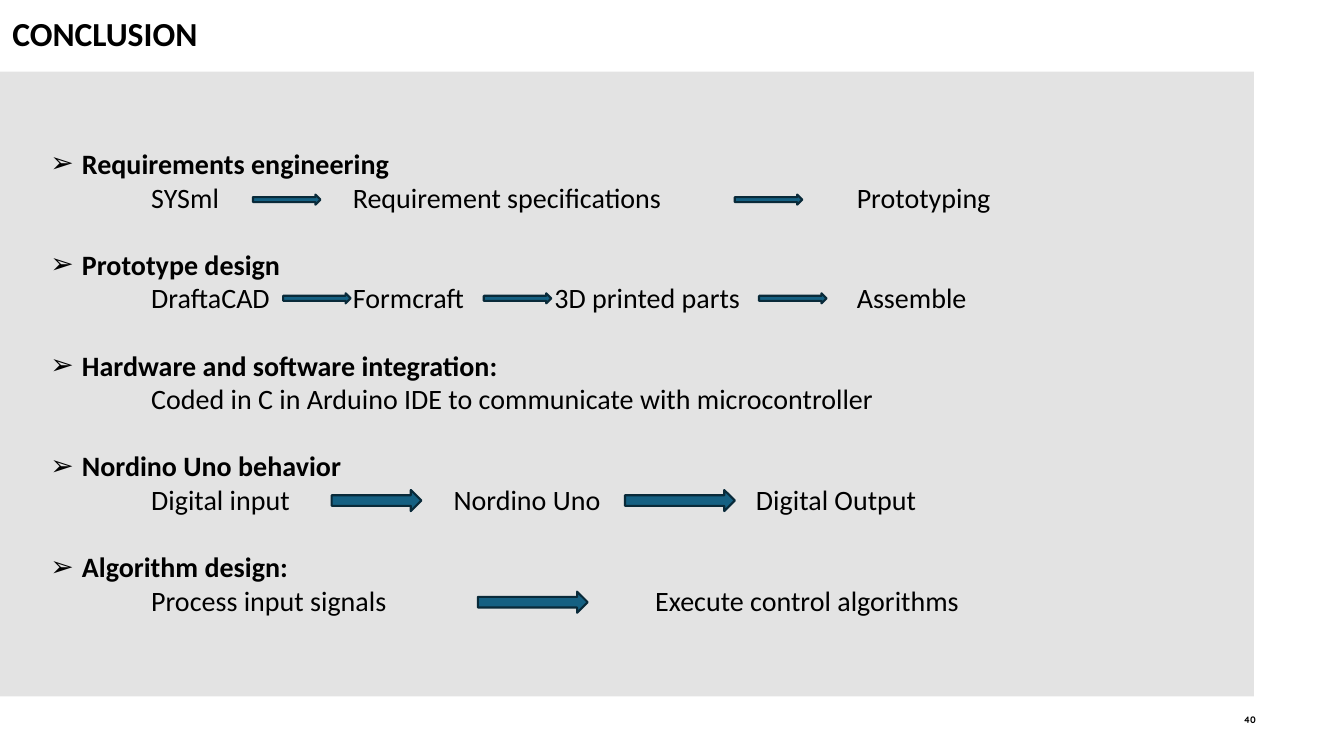
"""Build the conclusion slide, with its list of steps and flow arrows."""
import dataclasses

import lxml.etree
import pptx
import pptx.dml.color
import pptx.enum.shapes
import pptx.enum.text
import pptx.oxml.ns
import pptx.util

Pt = pptx.util.Pt
MSO = pptx.enum.shapes.MSO_SHAPE
TEXT = pptx.enum.text


@dataclasses.dataclass(frozen=True)
class Theme:
    ink: str = "000000"
    panel: str = "E3E3E3"
    arrow: str = "156082"
    edge: str = "092A39"
    font: str = "Calibri"
    small_font: str = "Quicksand"
    title: float = 24
    body: float = 20
    small: float = 6.7
    line: float = 24
    gap: float = 24
    indent: float = 22.5
    tab: float = 72


class Deck:
    def __init__(self, theme, width, height):
        self.theme = theme
        self.file = pptx.Presentation()
        self.file.slide_width = Pt(width)
        self.file.slide_height = Pt(height)
        self.slide = self.file.slides.add_slide(self.file.slide_layouts[1])

    def color(self, code):
        return pptx.dml.color.RGBColor.from_string(code)

    def place(self, shape, box):
        shape.left, shape.top, shape.width, shape.height = map(Pt, box)

    def frame(self, shape, top=0):
        frame = shape.text_frame
        frame.word_wrap = True
        frame.auto_size = TEXT.MSO_AUTO_SIZE.NONE
        frame.vertical_anchor = TEXT.MSO_ANCHOR.TOP
        frame.margin_left = frame.margin_right = frame.margin_bottom = 0
        frame.margin_top = Pt(top)
        return frame

    def run(self, para, text, size, bold=True, font=None):
        run = para.add_run()
        run.text = text
        run.font.size = Pt(size)
        run.font.bold = bold
        run.font.name = font or self.theme.font
        run.font.color.rgb = self.color(self.theme.ink)

    def shape(self, kind, box, fill, edge=None):
        shape = self.slide.shapes.add_shape(kind, *map(Pt, box))
        shape.shadow.inherit = False
        shape.fill.solid()
        shape.fill.fore_color.rgb = self.color(fill)
        if edge:
            shape.line.color.rgb = self.color(edge)
            shape.line.width = Pt(1.5)
        else:
            shape.line.fill.background()
        return shape

    def panel(self, box):
        item = self.shape(MSO.RECTANGLE, box, self.theme.panel).element
        item.getparent().insert(2, item)

    def arrow(self, box):
        self.shape(MSO.RIGHT_ARROW, box, self.theme.arrow, self.theme.edge)

    def title(self, text, box):
        shape = self.slide.shapes.title
        self.place(shape, box)
        para = self.frame(shape).paragraphs[0]
        para.alignment = TEXT.PP_ALIGN.LEFT
        self.run(para, text, self.theme.title)

    def number(self, text, box):
        para = self.frame(self.slide.shapes.add_textbox(*map(Pt, box))).paragraphs[0]
        self.run(para, text, self.theme.small, font=self.theme.small_font)

    def line(self, para, bullet=None, before=0):
        indent = Pt(self.theme.indent) if bullet else 0
        props = para._p.get_or_add_pPr()
        props.set("marL", str(indent))
        props.set("indent", str(-indent))
        props.set("defTabSz", str(Pt(self.theme.tab)))
        tag = "a:buChar" if bullet else "a:buNone"
        mark = lxml.etree.SubElement(props, pptx.oxml.ns.qn(tag))
        if bullet:
            mark.set("char", bullet)
        para.alignment = TEXT.PP_ALIGN.LEFT
        para.line_spacing = Pt(self.theme.line)
        para.space_before = Pt(before)
        para.space_after = Pt(0)

    def steps(self, topics, box, top):
        shape = self.slide.placeholders[1]
        self.place(shape, box)
        frame = self.frame(shape, top)
        for place, (head, steps) in enumerate(topics):
            para = frame.add_paragraph() if place else frame.paragraphs[0]
            self.line(para, bullet="➢", before=self.theme.gap if place else 0)
            self.run(para, head, self.theme.body)
            para = frame.add_paragraph()
            self.line(para)
            for tabs, step in steps:
                self.run(para, "\t" * tabs + step, self.theme.body, bold=False)

    def save(self):
        self.file.save("out.pptx")


TOPICS = [
    ("Requirements engineering",
     [(1, "SYSml"), (2, "Requirement specifications"), (2, "Prototyping")]),
    ("Prototype design",
     [(1, "DraftaCAD"), (1, "Formcraft"), (1, "3D printed parts"),
      (2, "Assemble")]),
    ("Hardware and software integration:",
     [(1, "Coded in C in Arduino IDE to communicate with microcontroller")]),
    ("Nordino Uno behavior",
     [(1, "Digital input"), (2, "Nordino Uno"), (2, "Digital Output")]),
    ("Algorithm design:",
     [(1, "Process input signals"), (3, "Execute control algorithms")]),
]

ARROWS = [
    (139, 7.2, [(180.7, 48.2), (524.9, 48.2)]),
    (209.5, 7.2, [(202.3, 48.2), (345.6, 48.2), (542.2, 48.2)]),
    (350, 15.1, [(236.9, 64.1), (446.4, 78.5)]),
    (422.6, 15.1, [(341.3, 78.5)]),
]


def main():
    deck = Deck(Theme(), 960, 540)
    deck.panel((0, 51.1, 895.7, 446.4))
    deck.title("CONCLUSION", (8.8, 9, 158.4, 28.8))
    deck.steps(TOPICS, (36, 80.6, 858.2, 363.6), 24)
    for top, height, row in ARROWS:
        for left, width in row:
            deck.arrow((left, top, width, height))
    deck.number("40", (888.3, 510, 14, 8))
    deck.save()


if __name__ == "__main__":
    main()
